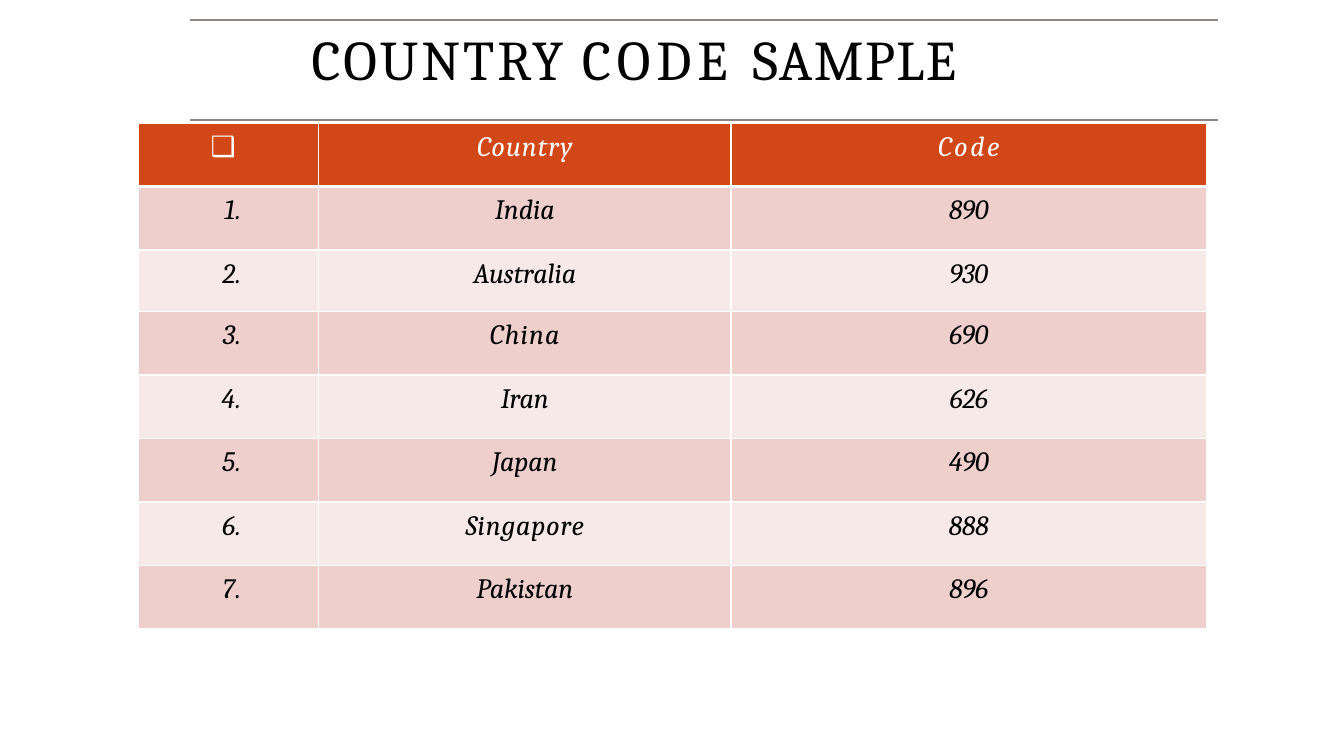
from dataclasses import dataclass

from lxml.etree import SubElement
from pptx import Presentation
from pptx.dml.color import RGBColor
from pptx.enum.shapes import MSO_CONNECTOR
from pptx.enum.text import PP_ALIGN
from pptx.oxml.ns import qn
from pptx.util import Inches, Pt


@dataclass
class Piece:
    text: str
    gap: float  # letter spacing in points


@dataclass
class Row:
    order: Piece
    land: Piece
    code: Piece
    height: float = 0.63


ROWS = [
    Row(Piece("❑", -0.5), Piece("Country", 0.7), Piece("Code", 1.8)),
    Row(Piece("1.", 0.6), Piece("India", -0.1), Piece("890", -0.2)),
    Row(Piece("2.", 0.6), Piece("Australia", -0.1), Piece("930", -0.2), 0.61),
    Row(Piece("3.", 0.6), Piece("China", 0.8), Piece("690", -0.2)),
    Row(Piece("4.", 0.6), Piece("Iran", -0.2), Piece("626", -0.2)),
    Row(Piece("5.", 0.6), Piece("Japan", -0.1), Piece("490", -0.2)),
    Row(Piece("6.", 0.6), Piece("Singapore", 0.6), Piece("888", -0.2)),
    Row(Piece("7.", 0.6), Piece("Pakistan", -0.1), Piece("896", -0.2)),
]
WIDTHS = [1.79, 4.09, 4.72]
TITLE = [Piece("COUNTRY ", 2.2), Piece("CODE ", 4.4), Piece("SAMPLE", 1.1)]
WHITE, BLACK = "FFFFFF", "000000"
HEAD, DARK, LIGHT = "D24717", "EECFCC", "F7E9E7"


def color(code: str) -> RGBColor:
    return RGBColor.from_string(code)


def apply(item, values: dict) -> None:
    for name, value in values.items():
        setattr(item, name, value)


def write(para, piece: Piece, shade: str, look: dict) -> None:
    run = para.add_run()
    run.text = piece.text
    apply(run.font, look)
    run.font.color.rgb = color(shade)
    run._r.get_or_add_rPr().set("spc", str(round(piece.gap * 100)))


def border(cell, sides: dict[str, float]) -> None:
    props = cell._tc.get_or_add_tcPr()
    for side, width in sides.items():
        line = SubElement(props, qn(f"a:ln{side}"), w=str(Pt(width)))
        fill = SubElement(line, qn("a:solidFill"))
        SubElement(fill, qn("a:srgbClr"), val=WHITE)


def rule(slide, top: float) -> None:
    line = slide.shapes.add_connector(
        MSO_CONNECTOR.STRAIGHT, Inches(1.88), Inches(top), Inches(12.08), Inches(top))
    line.line.color.rgb = color("918485")
    line.line.width = Pt(1)
    SubElement(line._element.spPr, qn("a:effectLst"))


def draw_cell(cell, piece: Piece, row: int, col: int) -> None:
    head, number = row == 0, row > 0 and col == 0
    border(cell, {"L": 1, "R": 1, "T": 3 if row == 1 else 1, "B": 3 if head else 1})
    cell.fill.solid()
    cell.fill.fore_color.rgb = color(HEAD if head else DARK if row % 2 else LIGHT)
    right = 0.77 if number else 0.1 if col == 0 else 0
    apply(cell, {"margin_left": 0, "margin_right": Inches(right),
                 "margin_top": Inches(0.08), "margin_bottom": 0})
    para = cell.text_frame.paragraphs[0]
    para.alignment = PP_ALIGN.RIGHT if number else PP_ALIGN.CENTER
    mark = head and col == 0
    write(para, piece, WHITE if head else BLACK,
          {"name": "Arial" if mark else "Cambria", "size": Pt(20),
           "italic": not mark, "bold": False})


def draw_table(slide) -> None:
    frame = slide.shapes.add_table(
        len(ROWS), len(WIDTHS), Inches(1.37), Inches(1.22),
        Inches(sum(WIDTHS)), Inches(sum(row.height for row in ROWS)))
    table = frame.table
    apply(table, {"first_row": False, "horz_banding": False})
    for col, width in enumerate(WIDTHS):
        table.columns[col].width = Inches(width)
    for r, row in enumerate(ROWS):
        table.rows[r].height = Inches(row.height)
        for c, piece in enumerate((row.order, row.land, row.code)):
            draw_cell(table.cell(r, c), piece, r, c)


def draw_title(slide) -> None:
    box = slide.shapes.add_textbox(Inches(3.08), Inches(0.22), Inches(6.69), Inches(0.69))
    frame = box.text_frame
    apply(frame, {"word_wrap": True, "margin_left": Inches(0.01), "margin_right": 0,
                  "margin_top": Inches(0.02), "margin_bottom": 0})
    for piece in TITLE:
        write(frame.paragraphs[0], piece, BLACK, {"name": "Cambria", "size": Pt(40)})


def main() -> None:
    deck = Presentation()
    apply(deck, {"slide_width": Inches(13.33), "slide_height": Inches(7.5)})
    slide = deck.slides.add_slide(deck.slide_layouts[6])
    # Country table
    draw_table(slide)
    # Rules above and below the title
    for top in (0.2, 1.19):
        rule(slide, top)
    # Title
    draw_title(slide)
    deck.save("out.pptx")


if __name__ == "__main__":
    main()
